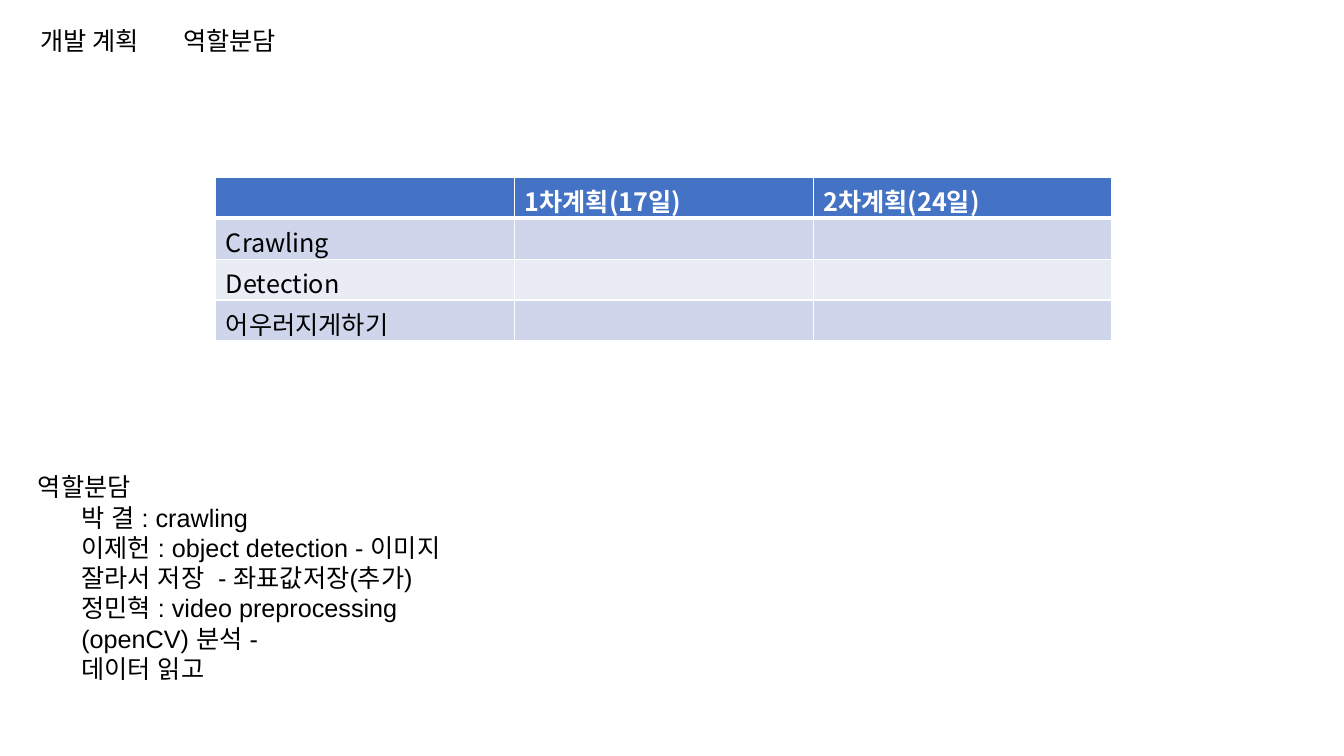
from lxml import etree
from pptx import Presentation
from pptx.dml.color import RGBColor
from pptx.oxml.ns import qn
from pptx.util import Cm, Pt

NOTO = "Noto Sans CJK KR"


def rgb(code):
    return RGBColor.from_string(code)


def write(para, words, font=NOTO, color="000000", bold=False, indent=0):
    para.text = words
    if indent:
        para._p.get_or_add_pPr().set("marL", str(Cm(indent)))
    for run in para.runs:
        run.font.size = Pt(18)
        run.font.bold = bold
        run.font.name = font
        run.font.color.rgb = rgb(color)
        east = etree.SubElement(run._r.rPr, qn("a:ea"))
        east.set("typeface", font)


deck = Presentation()
deck.slide_width, deck.slide_height = Cm(33.87), Cm(19.05)
slide = deck.slides.add_slide(deck.slide_layouts[6])

# Text boxes: left, top, width, height, font, (indent, words) of each paragraph
boxes = [
    (0.76, 0.51, 10.29, 1.02, NOTO, [(0, "개발 계획")]),
    (4.37, 0.51, 10.29, 1.02, NOTO, [(0, "역할분담")]),
    (-2.01, 11.76, 14.88, 6.4, "Arial", [
        (2.54, " 역할분담"),
        (3.81, "박 결 : crawling"),
        (3.81, "이제헌 : object detection - 이미지 잘라서 저장  - 좌표값저장(추가)"),
        (3.81, "정민혁 : video preprocessing (openCV) 분석 -\v데이터 읽고"),
    ]),
]
for left, top, width, height, font, lines in boxes:
    frame = slide.shapes.add_textbox(Cm(left), Cm(top), Cm(width), Cm(height)).text_frame
    frame.word_wrap = True
    for i, (indent, words) in enumerate(lines):
        para = frame.add_paragraph() if i else frame.paragraphs[0]
        write(para, words, font=font, indent=indent)

# Plan table
rows = [
    ["", "1차계획(17일)", "2차계획(24일)"],
    ["Crawling", "", ""],
    ["Detection", "", ""],
    ["어우러지게하기", "", ""],
]
fills = ["4472C4", "CFD5EA", "E9EBF5", "CFD5EA"]
grid = slide.shapes.add_table(4, 3, Cm(5.44), Cm(4.47), Cm(22.58), Cm(4.12)).table
for r, row in enumerate(rows):
    for c, words in enumerate(row):
        cell = grid.cell(r, c)
        cell.margin_bottom = 0
        head = r == 0
        write(cell.text_frame.paragraphs[0], words, bold=head,
              color="FFFFFF" if head else "000000")
        cell.fill.solid()
        cell.fill.fore_color.rgb = rgb(fills[r])

        # White rules, thicker under the header
        wide = {"B": 3} if head else {"T": 3} if r == 1 else {}
        for i, side in enumerate("LRTB"):
            rule = etree.Element(qn("a:ln" + side), w=str(Pt(wide.get(side, 1))))
            paint = etree.SubElement(rule, qn("a:solidFill"))
            etree.SubElement(paint, qn("a:srgbClr"), val="FFFFFF")
            cell._tc.tcPr.insert(i, rule)

deck.save("out.pptx")
